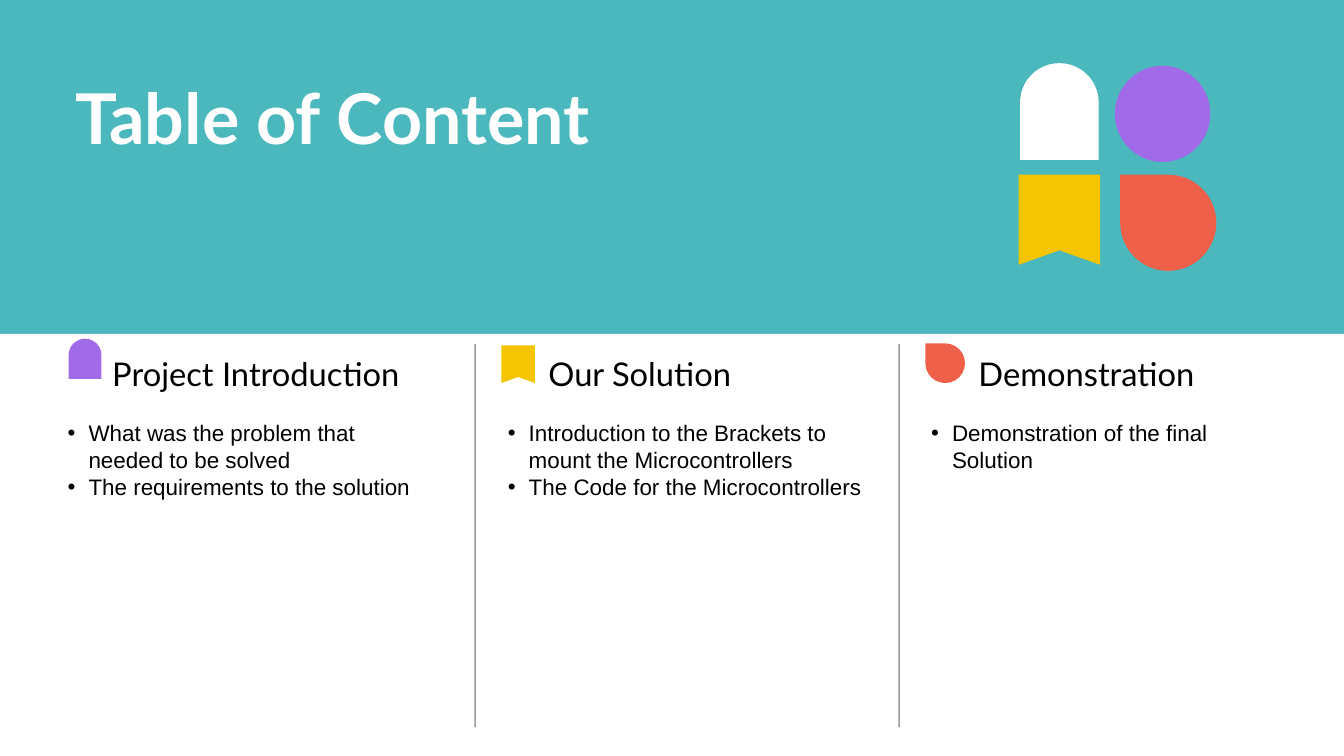
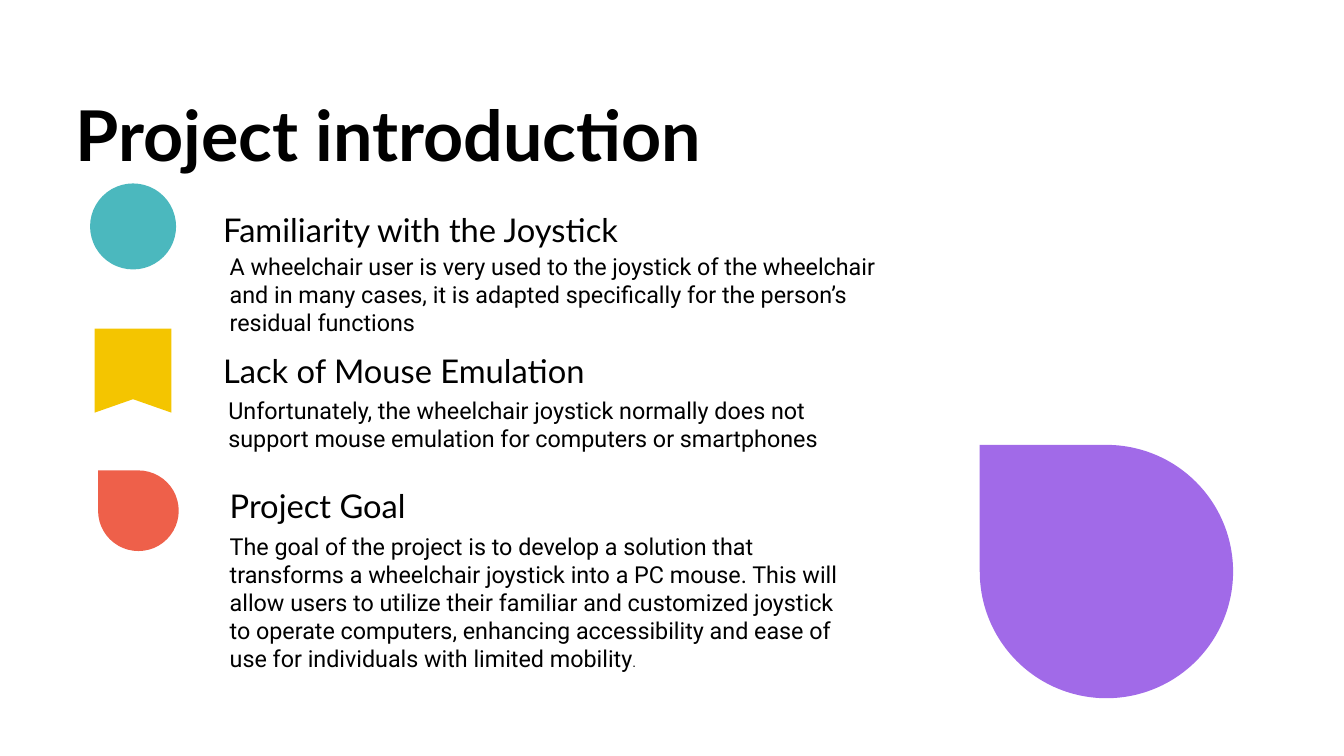
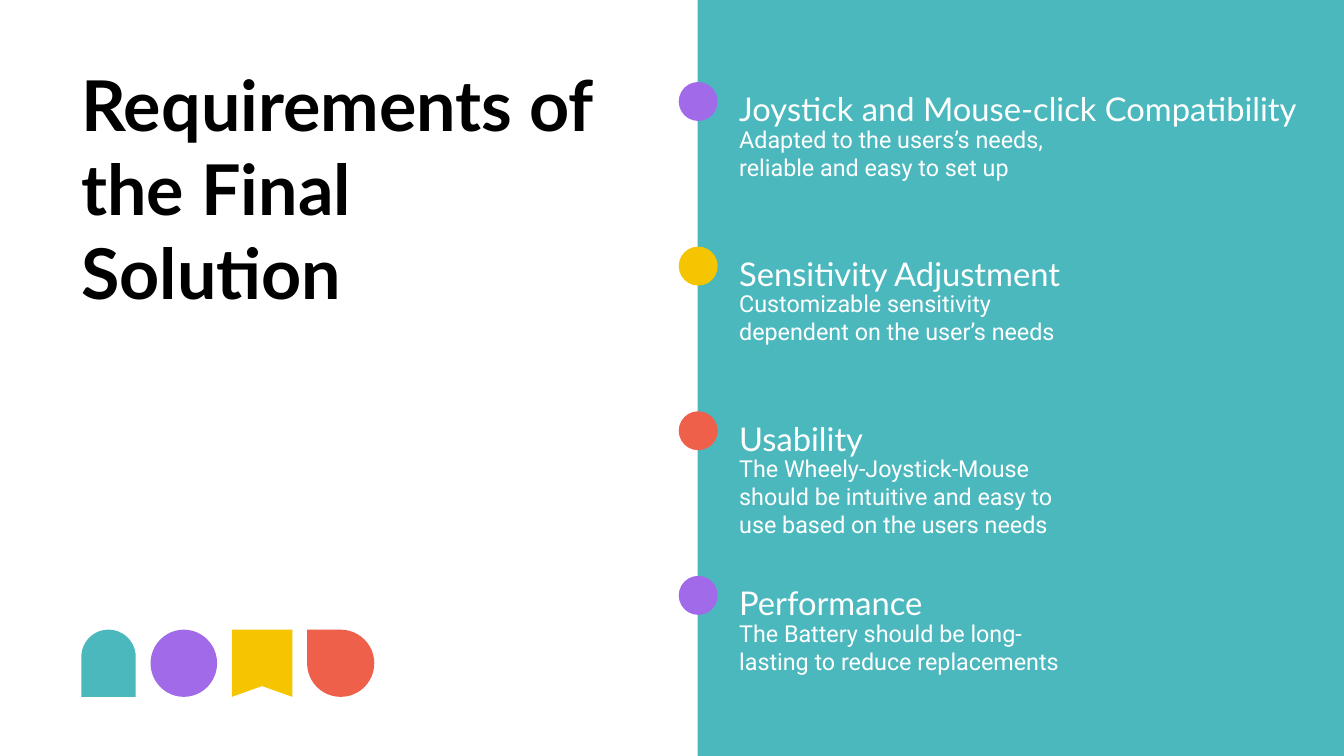
import pptx
import pptx.util
import pptx.dml.color
import pptx.enum.shapes
import pptx.oxml
import pptx.oxml.ns
import lxml.etree

Inches = pptx.util.Inches
RGBColor = pptx.dml.color.RGBColor
Kind = pptx.enum.shapes.MSO_SHAPE

TEAL = RGBColor(0x4B, 0xB8, 0xBE)
GOLD = RGBColor(0xF4, 0xC5, 0x00)
PLUM = RGBColor(0xA1, 0x6A, 0xE8)
CORAL = RGBColor(0xEE, 0x60, 0x4A)
WHITE = RGBColor(0xFF, 0xFF, 0xFF)
BLACK = RGBColor(0, 0, 0)

WIDE, HIGH = 20, 11.25
HEAD, BODY, LIST = ("Lato", 35), ("Roboto", 25), ("Arial", 24)

TOPICS = [
    ("Project Introduction", (1.67, 5.02), ("arch", PLUM, (1.02, 5.04, 0.49, 0.6)), (0.91, 5.36),
     ["What was the problem that needed to be solved", "The requirements to the solution"]),
    ("Our Solution", (8.16, 5.02), ("flag", GOLD, (7.46, 5.14, 0.5, 0.56)), (7.46, 5.88),
     ["Introduction to the Brackets to mount the Microcontrollers",
      "The Code for the Microcontrollers"]),
    ("Demonstration", (14.56, 3.77), ("drop", CORAL, (13.77, 5.11, 0.59, 0.59)), (13.76, 5.47),
     ["Demonstration of the final Solution"]),
]
RULES = [7.07, 13.38]
EMBLEM = [
    ("arch", WHITE, (15.18, 0.94, 1.17, 1.44)),
    ("flag", GOLD, (15.16, 2.6, 1.21, 1.34)),
    ("disc", PLUM, (16.59, 0.98, 1.42, 1.43)),
    ("drop", CORAL, (16.67, 2.6, 1.43, 1.43)),
]

POINTS = [
    ("Familiarity with the Joystick", (3.32, 3, 8.24, 0.71), 0, 1.2,
     "A wheelchair user is very used to the joystick of the wheelchair and in many cases, "
     "it is adapted specifically for the person’s residual functions",
     (3.32, 3.71, 10, 1.36), ("disc", TEAL, (1.34, 2.73, 1.28, 1.28))),
    ("Lack of Mouse Emulation", (3.32, 5.11, 9.29, 0.71), 0, 1.2,
     "Unfortunately, the wheelchair joystick normally does not support mouse emulation "
     "for computers or smartphones",
     (3.3, 5.84, 9.29, 0.94), ("flag", GOLD, (1.41, 4.89, 1.14, 1.25))),
    ("Project Goal", (3.32, 7.18, 8.06, 0.69), 0.1, None,
     "The goal of the project is to develop a solution that transforms a wheelchair "
     "joystick into a PC mouse. This will allow users to utilize their familiar and "
     "customized joystick to operate computers, enhancing accessibility and ease of use "
     "for individuals with limited mobility",
     (3.32, 7.87, 9.43, 2.2), ("drop", CORAL, (1.46, 7, 1.2, 1.2))),
]

NEEDS = [
    ("Joystick and Mouse-click Compatibility", 8.79, PLUM,
     "Adapted to the users’s needs, reliable and easy to set up", 0.84),
    ("Sensitivity Adjustment", 5.01, GOLD,
     "Customizable sensitivity dependent on the user’s needs", 0.84),
    ("Usability", 5.01, CORAL,
     "The Wheely-Joystick-Mouse should be intuitive and easy to use based on the users needs",
     1.26),
    ("Performance", 5.01, PLUM,
     "The Battery should be long-lasting to reduce replacements", 0.84),
]
ROW = [("arch", TEAL, 0.81), ("disc", PLUM, 0.99), ("flag", GOLD, 0.9), ("drop", CORAL, 1)]


def paint(shape, hue):
    shape.shadow.inherit = False
    shape.fill.solid()
    shape.fill.fore_color.rgb = hue
    shape.line.fill.background()


def flag(slide, box):
    left, top, wide, high = box
    right, base = left + wide, top + high
    pen = slide.shapes.build_freeform(Inches(left), Inches(top))
    spots = [(right, top), (right, base), (left + wide / 2, base - 0.16 * high), (left, base)]
    pen.add_line_segments([(Inches(x), Inches(y)) for x, y in spots])
    return pen.convert_to_shape()


def draw(slide, kind, hue, box):
    if kind == "flag":
        shape = flag(slide, box)
    else:
        kinds = {"arch": Kind.ROUND_2_SAME_RECTANGLE, "disc": Kind.OVAL,
                 "drop": Kind.TEAR, "band": Kind.RECTANGLE}
        shape = slide.shapes.add_shape(kinds[kind], *map(Inches, box))
        if kind == "arch":
            shape.adjustments[0] = 0.5
        if kind == "drop":
            shape.rotation = 270
    paint(shape, hue)


def write(slide, box, lines, style, hue=BLACK, pad=0, space=None, bold=False):
    frame = slide.shapes.add_textbox(*map(Inches, box)).text_frame
    frame.word_wrap = True
    frame.margin_left = frame.margin_right = Inches(pad)
    frame.margin_top = frame.margin_bottom = Inches(pad / 2)
    frame.text = "\n".join(lines)
    for para in frame.paragraphs:
        if space:
            para.line_spacing = space
        for run in para.runs:
            dress(run, style, hue, bold)
    return frame


def dress(run, style, hue, bold=False):
    run.font.name, size = style
    run.font.size = pptx.util.Pt(size)
    run.font.color.rgb = hue
    run.font.bold = bold


def title(slide, box, text, hue=BLACK, space=None):
    write(slide, box, [text], ("Lato", 75), hue, space=space, bold=True)


def dot(para):
    props = para._p.get_or_add_pPr()
    props.set("marL", str(Inches(0.31)))
    props.set("indent", str(-Inches(0.31)))
    tag = pptx.oxml.ns.qn
    lxml.etree.SubElement(props, tag("a:buFont")).set("typeface", "Arial")
    lxml.etree.SubElement(props, tag("a:buChar")).set("char", "•")


def rule(slide, x):
    line = slide.shapes.add_connector(
        pptx.enum.shapes.MSO_CONNECTOR.STRAIGHT, *map(Inches, (x, 5.12, x, 10.82)))
    line.line.width = pptx.util.Pt(1.5)
    line.line.color.rgb = BLACK
    tag = pptx.oxml.ns.qn
    props = line._element.spPr
    tint = props.find(".//" + tag("a:srgbClr"))
    lxml.etree.SubElement(tint, tag("a:alpha")).set("val", "40000")
    lxml.etree.SubElement(props, tag("a:effectLst"))


def start(deck, hue):
    slide = deck.slides.add_slide(deck.slide_layouts[6])
    slide.background.fill.solid()
    slide.background.fill.fore_color.rgb = hue
    return slide


def contents(deck):
    slide = start(deck, TEAL)
    draw(slide, "band", WHITE, (0, 4.97, WIDE, HIGH - 4.97))
    for x in RULES:
        rule(slide, x)
    title(slide, (1.12, 1.11, 7.67, 2.52), "Table of Content", WHITE)
    for part in EMBLEM:
        draw(slide, *part)
    for name, (left, wide), icon, (edge, span), items in TOPICS:
        write(slide, (left, 5.09, wide, 0.77), [name], HEAD, space=1.3)
        draw(slide, *icon)
        frame = write(slide, (edge, 6.19, span, 1.31), items, LIST, pad=0.1)
        for para in frame.paragraphs:
            dot(para)


def intro(deck):
    slide = start(deck, WHITE)
    title(slide, (1.12, 1.11, 11.46, 1.51), "Project introduction", space=1.2)
    draw(slide, "drop", PLUM, (14.58, 6.62, 3.77, 3.77))
    for name, place, pad, space, text, box, icon in POINTS:
        draw(slide, *icon)
        write(slide, place, [name], HEAD, pad=pad, space=space)
        frame = write(slide, box, [text], BODY, pad=0.1)
    stop = frame.paragraphs[0].add_run()
    stop.text = "."
    dress(stop, ("Arial", 14), BLACK)


def demands(deck):
    slide = start(deck, WHITE)
    draw(slide, "band", TEAL, (10.38, 0, WIDE - 10.38, HIGH))
    title(slide, (1.21, 0.91, 7.79, 3.79), "Requirements of the Final Solution")
    left = 1.21
    for kind, hue, wide in ROW:
        draw(slide, kind, hue, (left, 9.37, wide, 1))
        left += wide + 0.22
    for i, (name, wide, hue, text, high) in enumerate(NEEDS):
        top = 1.21 + 2.45 * i
        write(slide, (11, top, wide, 0.71), [name], HEAD, WHITE, space=1.2)
        write(slide, (11, top + 0.65, 5.01, high), [text], BODY, WHITE)
        draw(slide, "disc", hue, (10.1, top + 0.01, 0.58, 0.58))


def main():
    deck = pptx.Presentation()
    deck.slide_width, deck.slide_height = Inches(WIDE), Inches(HIGH)
    contents(deck)
    intro(deck)
    demands(deck)
    deck.save("out.pptx")


if __name__ == "__main__":
    main()
